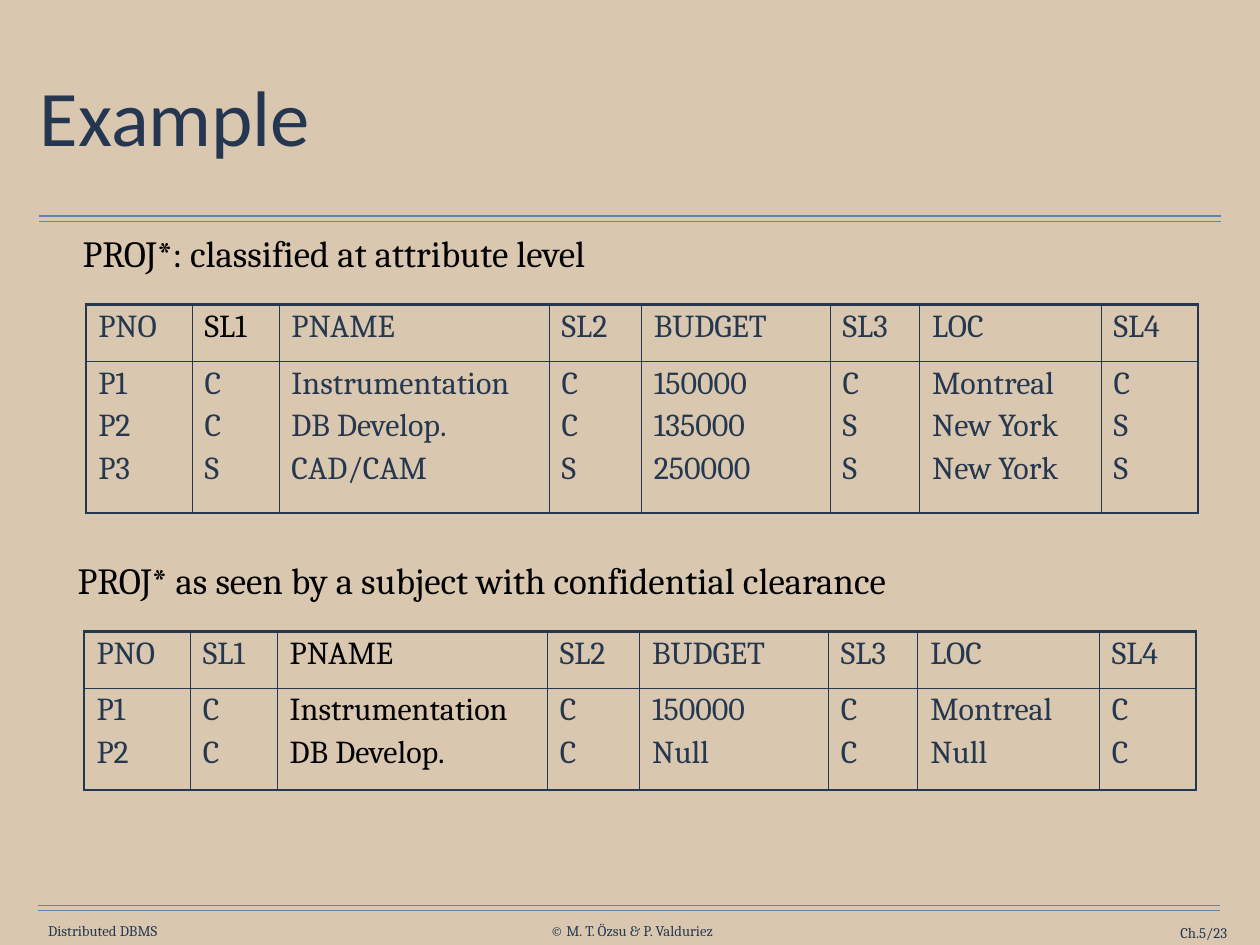
from lxml import etree
from pptx import Presentation
from pptx import util as u
from pptx.dml.color import RGBColor
from pptx.enum import shapes, text
from pptx.oxml import ns

NAVY = RGBColor(0x26, 0x37, 0x50)
TITLE_NAVY = RGBColor(0x25, 0x37, 0x50)
RULE_BLUE = RGBColor(0x66, 0x82, 0xAA)
SAND = RGBColor(0xD9, 0xC8, 0xAF)
BLACK = RGBColor(0, 0, 0)
LEFT, CENTER, RIGHT = text.PP_ALIGN.LEFT, text.PP_ALIGN.CENTER, text.PP_ALIGN.RIGHT


def style_paragraph(para, size, color, font="Cambria", align=LEFT):
    para.alignment = align
    for span in para.runs:
        span.font.name = font
        span.font.size = u.Pt(size)
        span.font.color.rgb = color


def add_border(cell, side, width):
    line = etree.SubElement(cell._tc.get_or_add_tcPr(), ns.qn(f"a:ln{side}"), w=str(u.Pt(width)))
    fill = etree.SubElement(line, ns.qn("a:solidFill"))
    etree.SubElement(fill, ns.qn("a:srgbClr"), val=str(NAVY))


deck = Presentation()
deck.slide_width, deck.slide_height = u.Inches(14.22), u.Inches(10.67)
page = deck.slides.add_slide(deck.slide_layouts[5])
page.background.fill.solid()
page.background.fill.fore_color.rgb = SAND

for left, top in [(0.44, 2.44), (0.43, 10.22)]:
    for offset in (0, 0.06):
        y = u.Inches(top + offset)
        rule = page.shapes.add_connector(
            shapes.MSO_CONNECTOR.STRAIGHT, u.Inches(left), y, u.Inches(left + 13.34), y)
        rule.line.color.rgb = RULE_BLUE
        rule.line.width = u.Pt(1)
        etree.SubElement(rule._element.spPr, ns.qn("a:effectLst"))

title = page.shapes.title
title.left, title.top = u.Inches(0.39), u.Inches(0.49)
title.width, title.height = u.Inches(13.44), u.Inches(1.76)
frame = title.text_frame
frame.text = "Example"
frame.vertical_anchor = text.MSO_ANCHOR.MIDDLE
frame.margin_left = frame.margin_right = frame.margin_top = frame.margin_bottom = u.Inches(0.06)
frame.paragraphs[0].line_spacing = 0.9
style_paragraph(frame.paragraphs[0], 64, TITLE_NAVY, "Calibri")

MIDDLE, TOP = text.MSO_ANCHOR.MIDDLE, text.MSO_ANCHOR.TOP
labels = [
    ("Distributed DBMS", 0.47, 10.41, 1.38, 0.2, 12, NAVY, CENTER, MIDDLE, 0, 0),
    ("© M. T. Özsu & P. Valduriez", 6.09, 10.41, 2.08, 0.2, 12, NAVY, CENTER, MIDDLE, 0, 0),
    ("Ch.5/23", 12.31, 10.43, 1.54, 0.2, 12, NAVY, RIGHT, MIDDLE, 0, 0),
    ("PROJ*: classified at attribute level",
     0.46, 2.53, 6.62, 0.65, 30, BLACK, CENTER, TOP, 0.14, 0.07),
    ("PROJ* as seen by a subject with confidential clearance",
     0.16, 6.23, 10.56, 0.65, 30, BLACK, CENTER, TOP, 0.14, 0.07),
]
for words, left, top, width, height, size, color, align, anchor, side_margin, end_margin in labels:
    box = page.shapes.add_textbox(*map(u.Inches, (left, top, width, height)))
    frame = box.text_frame
    frame.text = words
    frame.word_wrap = align == RIGHT
    frame.auto_size = text.MSO_AUTO_SIZE.SHAPE_TO_FIT_TEXT
    frame.vertical_anchor = anchor
    frame.margin_left = frame.margin_right = u.Inches(side_margin)
    frame.margin_top = frame.margin_bottom = u.Inches(end_margin)
    style_paragraph(frame.paragraphs[0], size, color, align=align)

HEADERS = ["PNO", "SL1", "PNAME", "SL2", "BUDGET", "SL3", "LOC", "SL4"]
COLUMN_WIDTHS = [1.2, 0.98, 3.05, 1.04, 2.13, 1.01, 2.05, 1.09]
all_projects = [
    ["P1", "C", "Instrumentation", "C", "150000", "C", "Montreal", "C"],
    ["P2", "C", "DB Develop.", "C", "135000", "S", "New York", "S"],
    ["P3", "S", "CAD/CAM", "S", "250000", "S", "New York", "S"],
]
visible_projects = [
    ["P1", "C", "Instrumentation", "C", "150000", "C", "Montreal", "C"],
    ["P2", "C", "DB Develop.", "C", "Null", "C", "Null", "C"],
]
tables = [
    (0.97, 3.44, 1.71, all_projects, {(0, 1)}),
    (0.95, 7.13, 1.15, visible_projects, {(0, 2), (1, 2)}),
]
for left, top, body_height, projects, black_cells in tables:
    row_heights = [0.64, body_height]
    table = page.shapes.add_table(
        2, len(HEADERS), u.Inches(left), u.Inches(top),
        u.Inches(sum(COLUMN_WIDTHS)), u.Inches(sum(row_heights))).table
    table.first_row = table.horz_banding = False
    for column, width in zip(table.columns, COLUMN_WIDTHS):
        column.width = u.Inches(width)
    for row, height in zip(table.rows, row_heights):
        row.height = u.Inches(height)
    contents = [HEADERS, ["\n".join(values) for values in zip(*projects)]]
    last = len(HEADERS) - 1
    for r, row_words in enumerate(contents):
        for c, words in enumerate(row_words):
            cell = table.cell(r, c)
            cell.margin_left = cell.margin_right = u.Inches(0.14)
            cell.margin_top = cell.margin_bottom = u.Inches(0.07)
            cell.text_frame.text = words
            for para in cell.text_frame.paragraphs:
                para.line_spacing = 0.9
                para.space_before = u.Pt(7.8)
                style_paragraph(para, 26, BLACK if (r, c) in black_cells else NAVY)
            outer_sides = [("L", c == 0), ("R", c == last), ("T", r == 0), ("B", r == 1)]
            for side, is_outer in outer_sides:
                add_border(cell, side, 2.25 if is_outer else 1)
            cell.fill.background()

deck.save("out.pptx")
